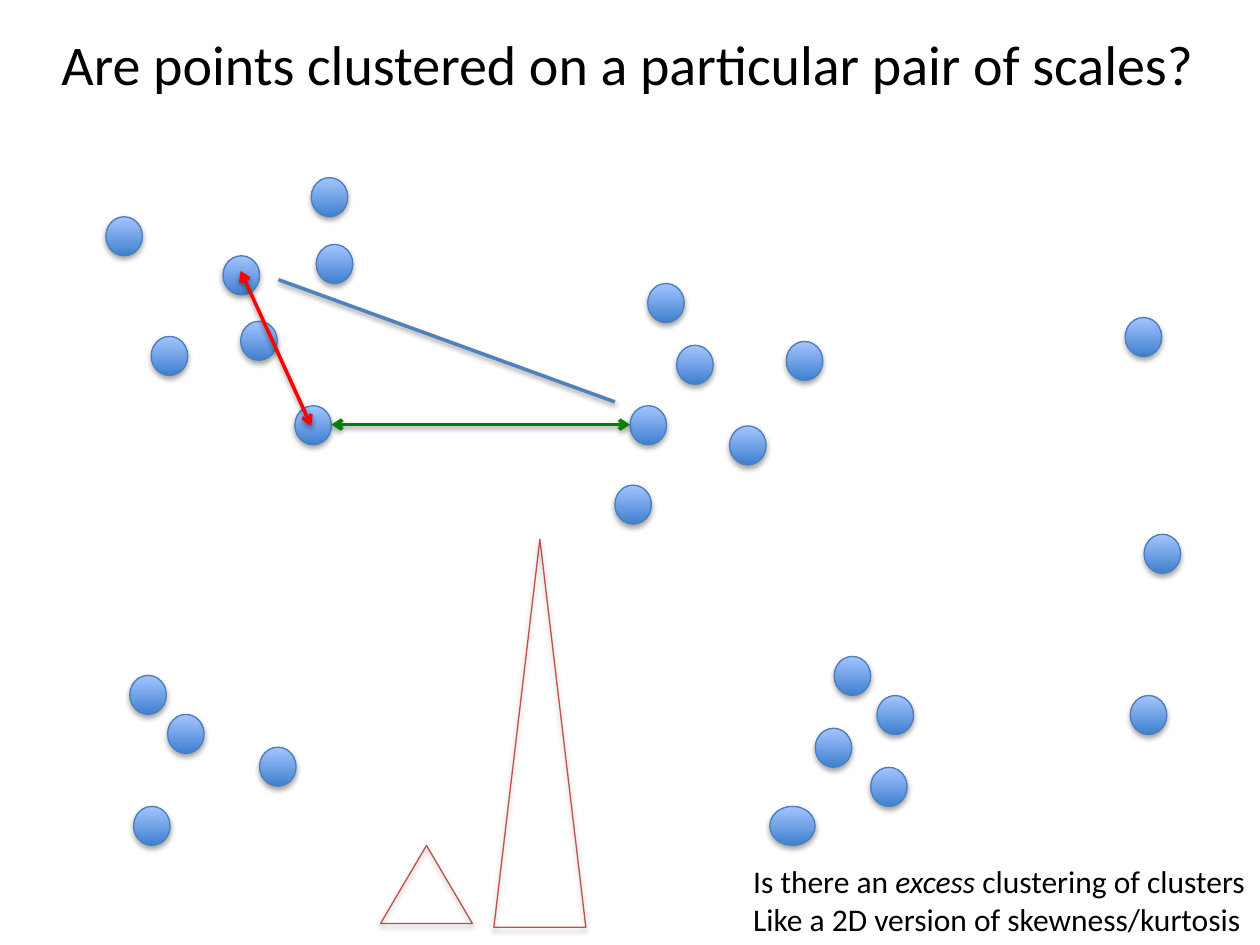
from typing import NamedTuple

import lxml.etree
import pptx
import pptx.dml.color
import pptx.enum.shapes
import pptx.enum.text
import pptx.oxml.ns
import pptx.util

COLUMNS, ROWS = 100, 75
FONT = "Calibri"
BLACK = "000000"
POINT_WIDTH, POINT_HEIGHT = 2.9, 3.1
SHAPES = pptx.enum.shapes.MSO_SHAPE

deck = pptx.Presentation()
deck.slide_width = pptx.util.Inches(10)
deck.slide_height = pptx.util.Inches(7.5)
page = deck.slides.add_slide(deck.slide_layouts[5])


class Point(NamedTuple):
    column: float
    row: float
    width: float = POINT_WIDTH


class Side(NamedTuple):
    start: tuple[float, float]
    end: tuple[float, float]
    color: str
    arrows: bool


class Triangle(NamedTuple):
    column: float
    row: float
    width: float
    height: float


POINTS = [
    # upper left cluster
    Point(8.4, 17.2), Point(12, 26.7), Point(24.7, 14.1), Point(17.7, 20.3),
    Point(19.1, 25.5), Point(25.1, 19.4), Point(23.4, 32.2),
    # lower left cluster
    Point(13.3, 56.7), Point(10.3, 53.6), Point(20.6, 59.3), Point(10.6, 64),
    # middle cluster
    Point(53.7, 27.4), Point(48.8, 38.5), Point(51.4, 22.5), Point(50, 32.2),
    Point(62.4, 27.1), Point(57.9, 33.8),
    # lower right cluster
    Point(64.7, 57.8), Point(69.6, 55.2), Point(66.2, 52.1),
    Point(61.1, 64, 3.6), Point(69.1, 60.9),
    # right edge
    Point(89.3, 25.2), Point(90.8, 42.4), Point(89.7, 55.2),
]
SIDES = [
    Side((19.1, 21.5), (24.7, 33.8), "FF0000", True),
    Side((50, 33.7), (26.3, 33.7), "008000", True),
    Side((22.1, 22.2), (48.8, 31.9), "4F81BD", False),
]
TRIANGLES = [Triangle(30.2, 67.1, 7.3, 6.2), Triangle(39.2, 42.8, 7.3, 30.8)]


def across(columns: float) -> int:
    return round(deck.slide_width * columns / COLUMNS)


def down(rows: float) -> int:
    return round(deck.slide_height * rows / ROWS)


def color(code: str) -> pptx.dml.color.RGBColor:
    return pptx.dml.color.RGBColor.from_string(code)


def add_child(parent, tag: str, **attributes):
    return lxml.etree.SubElement(parent, pptx.oxml.ns.qn(tag), attributes)


def set_line(item, code: str, points: float) -> None:
    item.line.color.rgb = color(code)
    item.line.width = pptx.util.Pt(points)


def drop_shadow(item, percent: int, distance: float) -> None:
    """Add a soft shadow straight below; call after fill and line are set."""
    effects = add_child(item._element.spPr, "a:effectLst")
    shadow = add_child(effects, "a:outerShdw", blurRad=str(pptx.util.Pt(3.1)),
                       dist=str(pptx.util.Pt(distance)), dir="5400000", rotWithShape="0")
    shade = add_child(shadow, "a:srgbClr", val=BLACK)
    add_child(shade, "a:alpha", val=str(percent * 1000))


def draw_point(point: Point) -> None:
    dot = page.shapes.add_shape(SHAPES.OVAL, across(point.column), down(point.row),
                                across(point.width), down(POINT_HEIGHT))
    dot.fill.gradient()
    dot.fill.gradient_angle = 90
    for stop, code in zip(dot.fill.gradient_stops, ("3F80CE", "A4C4FF")):
        stop.color.rgb = color(code)
    set_line(dot, "4B7EBC", 0.75)
    drop_shadow(dot, 35, 1.8)


def draw_side(side: Side) -> None:
    line = page.shapes.add_connector(
        pptx.enum.shapes.MSO_CONNECTOR.STRAIGHT,
        across(side.start[0]), down(side.start[1]), across(side.end[0]), down(side.end[1]))
    set_line(line, side.color, 2)
    if side.arrows:
        for tag in ("a:headEnd", "a:tailEnd"):
            add_child(line.line._get_or_add_ln(), tag, type="arrow")
    drop_shadow(line, 38, 1.6)


def draw_triangle(triangle: Triangle) -> None:
    outline = page.shapes.add_shape(
        SHAPES.ISOSCELES_TRIANGLE, across(triangle.column), down(triangle.row),
        across(triangle.width), down(triangle.height))
    outline.fill.background()
    set_line(outline, "C0504D", 0.75)
    drop_shadow(outline, 35, 1.8)


def add_span(para, text: str, size: float, italic: bool = False) -> None:
    span = para.add_run()
    span.text = text
    span.font.name = FONT
    span.font.size = pptx.util.Pt(size)
    span.font.italic = italic
    span.font.color.rgb = color(BLACK)


def write_title() -> None:
    title = page.shapes.title
    title.left, title.top = across(1.1), down(0.9)
    title.width, title.height = across(97.5), down(8.2)
    title.text_frame.vertical_anchor = pptx.enum.text.MSO_ANCHOR.MIDDLE
    para = title.text_frame.paragraphs[0]
    para.alignment = pptx.enum.text.PP_ALIGN.CENTER
    add_span(para, "Are points clustered on a particular pair of scales?", 32)


def write_question() -> None:
    box = page.shapes.add_textbox(across(58.8), down(67.9), across(42.7), down(7.1))
    frame = box.text_frame
    frame.word_wrap = False
    frame.auto_size = pptx.enum.text.MSO_AUTO_SIZE.SHAPE_TO_FIT_TEXT
    question = frame.paragraphs[0]
    add_span(question, "Is there an ", 18)
    add_span(question, "excess ", 18, italic=True)
    add_span(question, "clustering of clusters", 18)
    add_span(frame.add_paragraph(), "Like a 2D version of skewness/kurtosis", 18)


def main() -> None:
    write_title()
    for point in POINTS:
        draw_point(point)
    for side in SIDES:
        draw_side(side)
    for triangle in TRIANGLES:
        draw_triangle(triangle)
    write_question()
    deck.save("out.pptx")


if __name__ == "__main__":
    main()
